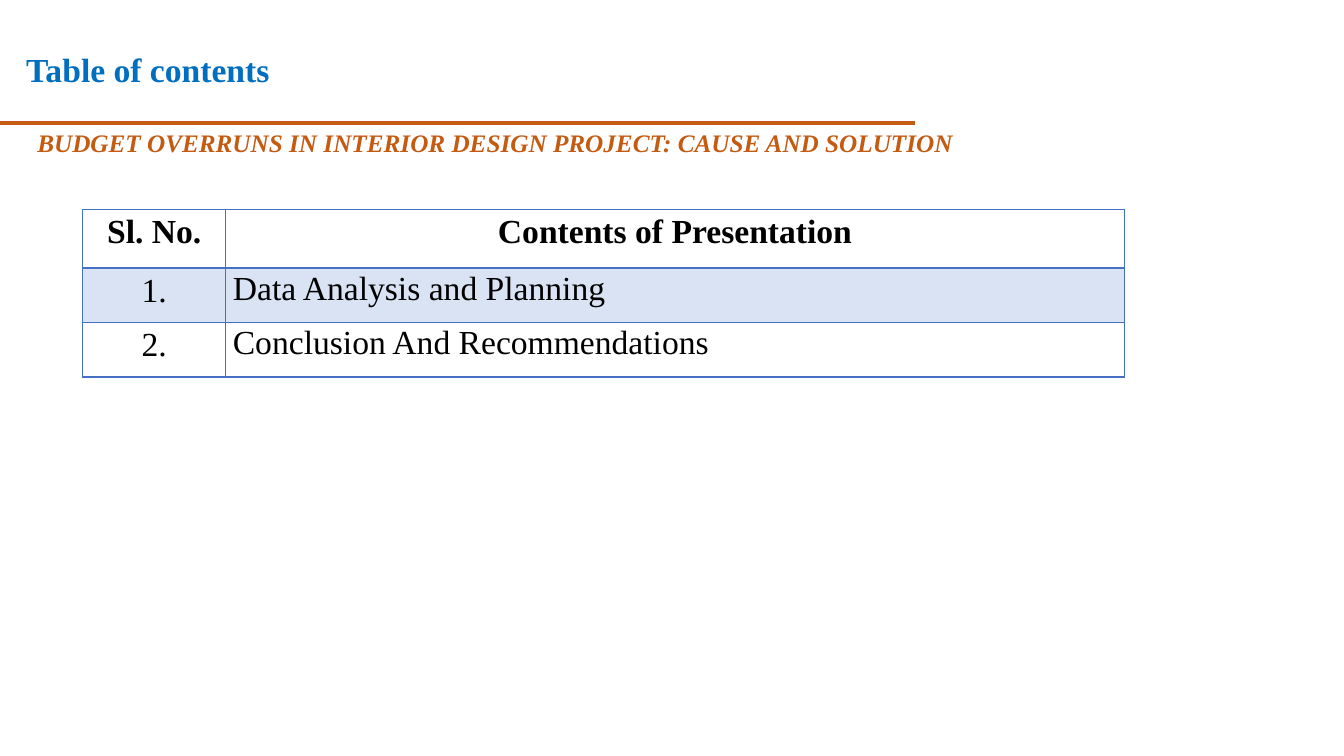
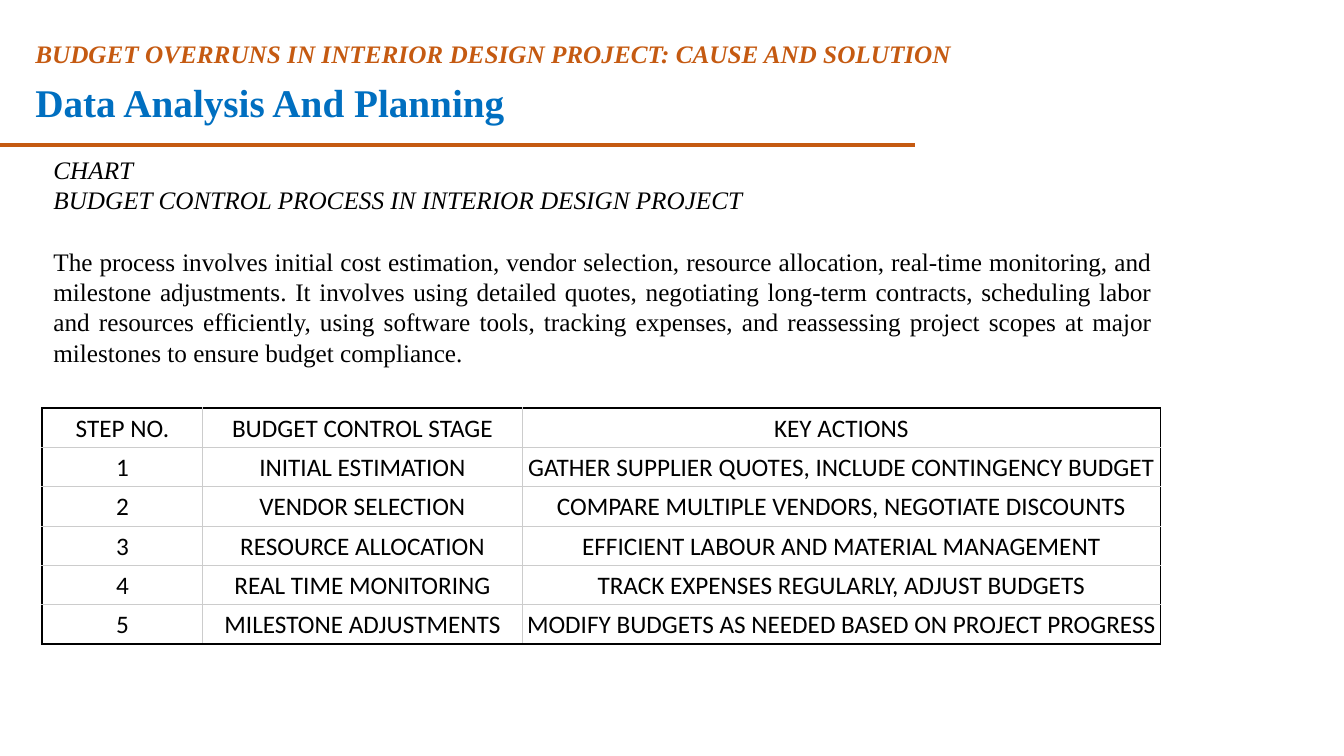
from dataclasses import dataclass
from typing import Any

from lxml.etree import SubElement
from pptx import Presentation
from pptx.dml.color import RGBColor
from pptx.enum.shapes import MSO_CONNECTOR
from pptx.enum.text import MSO_ANCHOR, MSO_AUTO_SIZE, PP_ALIGN
from pptx.oxml.ns import qn
from pptx.slide import Slide
from pptx.text.text import _Paragraph
from pptx.util import Inches, Length, Pt


@dataclass(frozen=True)
class Theme:
    title: str = "006FC0"
    accent: str = "C55A11"
    ink: str = "000000"
    table_blue: str = "4471C4"
    table_tint: str = "DAE3F3"
    table_gray: str = "CCCCCC"
    serif: str = "Times New Roman"
    sans: str = "Calibri"
    body_size: int = 18
    heading_size: int = 24
    title_size: int = 28


THEME = Theme()
SUBJECT = "BUDGET OVERRUNS IN INTERIOR DESIGN PROJECT: CAUSE AND SOLUTION"


@dataclass(frozen=True)
class Area:
    left: float
    top: float
    width: float
    height: float

    def lengths(self) -> tuple[Length, ...]:
        return tuple(Inches(value) for value in (self.left, self.top, self.width, self.height))


@dataclass(frozen=True)
class TextStyle:
    size: int
    font: str = THEME.serif
    color: str = THEME.ink
    bold: bool = False
    italic: bool = False
    align: PP_ALIGN = PP_ALIGN.LEFT
    space_before: float = 0


@dataclass(frozen=True)
class Border:
    color: str
    width: float


@dataclass(frozen=True)
class Column:
    width: float
    align: PP_ALIGN = PP_ALIGN.CENTER
    inset_left: float = 0
    inset_top: float = 0.05


@dataclass(frozen=True)
class Grid:
    left: float
    top: float
    columns: tuple[Column, ...]
    row_heights: tuple[float, ...]
    outer: Border
    inner: Border
    header_rule: Border
    size: int
    font: str
    bold_header: bool = False
    tinted_rows: tuple[int, ...] = ()


SUBJECT_STYLE = TextStyle(THEME.body_size, color=THEME.accent, bold=True, italic=True)
CAPTION_STYLE = TextStyle(THEME.body_size, italic=True)
PROSE_STYLE = TextStyle(THEME.body_size, align=PP_ALIGN.JUSTIFY, space_before=22.5)

BLUE_LINE = Border(THEME.table_blue, 1)
GRAY_LINE = Border(THEME.table_gray, 0.75)

CONTENTS_GRID = Grid(
    left=0.82,
    top=2.08,
    columns=(
        Column(1.42, inset_top=0.04),
        Column(8.91, PP_ALIGN.LEFT, inset_left=0.07, inset_top=0.02),
    ),
    row_heights=(0.58, 0.54, 0.54),
    outer=BLUE_LINE,
    inner=BLUE_LINE,
    header_rule=Border(THEME.table_blue, 2.25),
    size=THEME.heading_size,
    font=THEME.serif,
    bold_header=True,
    tinted_rows=(1,),
)
CONTENTS_ROWS = (
    ("Sl. No.", "Contents of Presentation"),
    ("1.", "Data Analysis and Planning"),
    ("2.", "Conclusion And Recommendations"),
)

STAGES_GRID = Grid(
    left=0.42,
    top=4.05,
    columns=(Column(1.59), Column(3.17), Column(6.33)),
    row_heights=(0.39,) * 6,
    outer=Border(THEME.ink, 1.5),
    inner=GRAY_LINE,
    header_rule=GRAY_LINE,
    size=THEME.body_size,
    font=THEME.sans,
)
STAGES_ROWS = (
    ("STEP NO.", "BUDGET CONTROL STAGE", "KEY ACTIONS"),
    ("1", "INITIAL ESTIMATION", "GATHER SUPPLIER QUOTES, INCLUDE CONTINGENCY BUDGET"),
    ("2", "VENDOR SELECTION", "COMPARE MULTIPLE VENDORS, NEGOTIATE DISCOUNTS"),
    ("3", "RESOURCE ALLOCATION", "EFFICIENT LABOUR AND MATERIAL MANAGEMENT"),
    ("4", "REAL TIME MONITORING", "TRACK EXPENSES REGULARLY, ADJUST BUDGETS"),
    ("5", "MILESTONE ADJUSTMENTS", "MODIFY BUDGETS AS NEEDED BASED ON PROJECT PROGRESS"),
)

PROCESS_TEXT = (
    ("CHART", CAPTION_STYLE),
    ("BUDGET CONTROL PROCESS IN INTERIOR DESIGN PROJECT", CAPTION_STYLE),
    (
        "The process involves initial cost estimation, vendor selection, resource allocation, "
        "real-time monitoring, and milestone adjustments. It involves using detailed quotes, "
        "negotiating long-term contracts, scheduling labor and resources efficiently, using "
        "software tools, tracking expenses, and reassessing project scopes at major milestones "
        "to ensure budget compliance.",
        PROSE_STYLE,
    ),
)


def apply_format(target: Any, values: dict[str, Any]) -> None:
    for name, value in values.items():
        setattr(target, name, value)


def write_paragraph(para: _Paragraph, text: str, style: TextStyle) -> None:
    span = para.add_run()
    span.text = text
    apply_format(para, {"alignment": style.align, "space_before": Pt(style.space_before)})
    apply_format(span.font, {
        "name": style.font,
        "size": Pt(style.size),
        "bold": style.bold,
        "italic": style.italic,
    })
    span.font.color.rgb = RGBColor.from_string(style.color)


def fill_box(box: Any, lines: tuple[tuple[str, TextStyle], ...]) -> None:
    frame = box.text_frame
    apply_format(frame, {
        "word_wrap": True,
        "auto_size": MSO_AUTO_SIZE.NONE,
        "vertical_anchor": MSO_ANCHOR.TOP,
        "margin_left": Inches(0.01),
        "margin_top": Inches(0.01),
        "margin_right": 0,
        "margin_bottom": 0,
    })
    for index, (text, style) in enumerate(lines):
        para = frame.add_paragraph() if index else frame.paragraphs[0]
        write_paragraph(para, text, style)


def add_text(page: Slide, area: Area, lines: tuple[tuple[str, TextStyle], ...]) -> None:
    fill_box(page.shapes.add_textbox(*area.lengths()), lines)


def place_title(page: Slide, area: Area, text: str, size: int) -> None:
    title = page.shapes.title
    apply_format(title, dict(zip(("left", "top", "width", "height"), area.lengths())))
    fill_box(title, ((text, TextStyle(size, color=THEME.title, bold=True)),))


def add_rule(page: Slide, top: float) -> None:
    rule = page.shapes.add_connector(
        MSO_CONNECTOR.STRAIGHT, 0, Inches(top), Inches(9.08), Inches(top)
    )
    rule.line.color.rgb = RGBColor.from_string(THEME.accent)
    rule.line.width = Pt(3)
    SubElement(rule._element.spPr, qn("a:effectLst"))


def add_subject(page: Slide, left: float, top: float) -> None:
    add_text(page, Area(left, top, 9.11, 0.33), ((SUBJECT, SUBJECT_STYLE),))


def draw_borders(cell: Any, borders: dict[str, Border]) -> None:
    properties = cell._tc.get_or_add_tcPr()
    for side in "LRTB":
        border = borders[side]
        line = SubElement(properties, qn(f"a:ln{side}"), w=str(int(Pt(border.width))))
        fill = SubElement(line, qn("a:solidFill"))
        SubElement(fill, qn("a:srgbClr"), val=border.color)


def cell_borders(grid: Grid, row: int, column: int) -> dict[str, Border]:
    last_row, last_column = len(grid.row_heights) - 1, len(grid.columns) - 1
    horizontal = [grid.outer, grid.header_rule] + [grid.inner] * (last_row - 1) + [grid.outer]
    return {
        "L": grid.inner if column else grid.outer,
        "R": grid.inner if column < last_column else grid.outer,
        "T": horizontal[row],
        "B": horizontal[row + 1],
    }


def add_grid(page: Slide, grid: Grid, rows: tuple[tuple[str, ...], ...]) -> None:
    area = Area(
        grid.left, grid.top, sum(column.width for column in grid.columns), sum(grid.row_heights)
    )
    table = page.shapes.add_table(len(rows), len(grid.columns), *area.lengths()).table
    apply_format(table, {"first_row": False, "horz_banding": False})
    for index, column in enumerate(grid.columns):
        table.columns[index].width = Inches(column.width)
    for row, texts in enumerate(rows):
        table.rows[row].height = Inches(grid.row_heights[row])
        header = row == 0
        for index, (text, column) in enumerate(zip(texts, grid.columns)):
            cell = table.cell(row, index)
            apply_format(cell, {
                "margin_left": 0 if header else Inches(column.inset_left),
                "margin_top": Inches(grid.columns[0].inset_top if header else column.inset_top),
                "margin_right": 0,
                "margin_bottom": 0,
                "vertical_anchor": MSO_ANCHOR.TOP,
            })
            style = TextStyle(
                grid.size,
                grid.font,
                bold=header and grid.bold_header,
                align=PP_ALIGN.CENTER if header else column.align,
            )
            write_paragraph(cell.text_frame.paragraphs[0], text, style)
            draw_borders(cell, cell_borders(grid, row, index))
            if row in grid.tinted_rows:
                cell.fill.solid()
                cell.fill.fore_color.rgb = RGBColor.from_string(THEME.table_tint)
            else:
                cell.fill.background()


def build_contents(page: Slide) -> None:
    place_title(page, Area(0.25, 0.48, 2.6, 0.43), "Table of contents", THEME.heading_size)
    add_rule(page, 1.22)
    add_grid(page, CONTENTS_GRID, CONTENTS_ROWS)
    add_subject(page, 0.36, 1.25)


def build_analysis(page: Slide) -> None:
    add_rule(page, 1.44)
    add_text(page, Area(0.52, 1.52, 10.91, 2.13), PROCESS_TEXT)
    add_grid(page, STAGES_GRID, STAGES_ROWS)
    add_subject(page, 0.34, 0.37)
    place_title(page, Area(0.34, 0.77, 4.8, 0.5), "Data Analysis And Planning", THEME.title_size)


def main() -> None:
    deck = Presentation()
    apply_format(deck, {"slide_width": Inches(13.33), "slide_height": Inches(7.5)})
    title_only = deck.slide_layouts.get_by_name("Title Only")
    for build in (build_contents, build_analysis):
        build(deck.slides.add_slide(title_only))
    deck.save("out.pptx")


if __name__ == "__main__":
    main()
